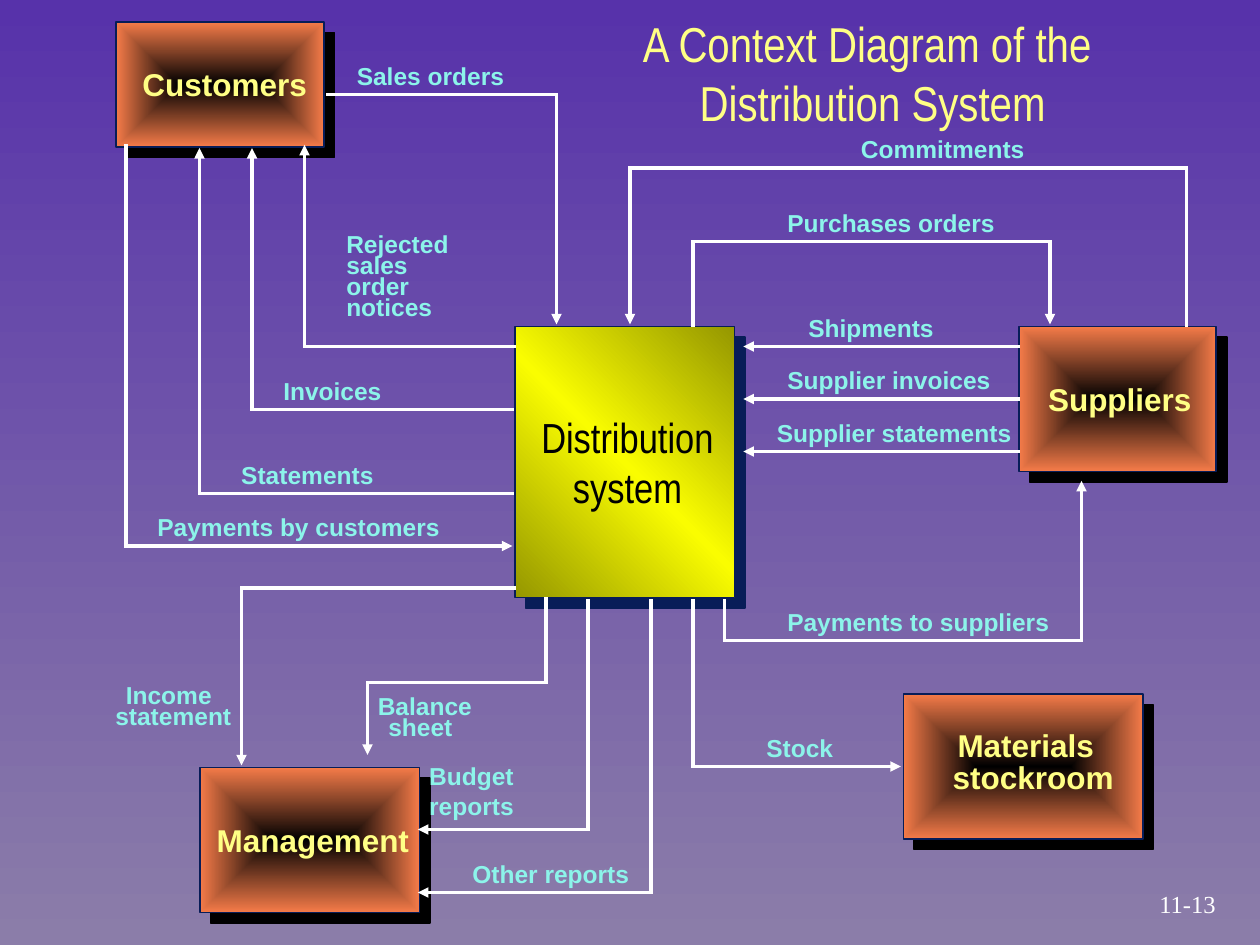
from itertools import pairwise

from lxml import etree
from pptx import Presentation
from pptx.dml.color import RGBColor
from pptx.enum.shapes import MSO_CONNECTOR, MSO_SHAPE
from pptx.enum.text import MSO_ANCHOR, MSO_AUTO_SIZE, PP_ALIGN
from pptx.oxml.ns import qn
from pptx.util import Inches, Pt

RECTANGLE = MSO_SHAPE.RECTANGLE
STRAIGHT = MSO_CONNECTOR.STRAIGHT
LEFT, CENTER = PP_ALIGN.LEFT, PP_ALIGN.CENTER
TOP, MIDDLE = MSO_ANCHOR.TOP, MSO_ANCHOR.MIDDLE
GROW = MSO_AUTO_SIZE.SHAPE_TO_FIT_TEXT

WHITE = RGBColor(0xFF, 0xFF, 0xFF)
BLACK = RGBColor(0, 0, 0)
NAVY = RGBColor(0x08, 0x1D, 0x58)
ORANGE = RGBColor(0xF5, 0x7B, 0x49)
YELLOW = RGBColor(0xFA, 0xFD, 0x00)
OLIVE = RGBColor(0x95, 0x97, 0x00)
CREAM = RGBColor(0xFF, 0xFF, 0x85)
AQUA = RGBColor(0x8C, 0xF4, 0xEA)
VIOLET = RGBColor(0x57, 0x32, 0xAA)
MAUVE = RGBColor(0x8B, 0x7D, 0xA9)

# All places below are in grid cells, twelve to the inch
CELL = Inches(1) / 12
LABEL_SHIFT = 0.2  # labels sit a little left of and below their cell
SLACK = 0.4        # spare width that keeps a text on one line

# Outside parties and the system: left, top, width, height
ENTITIES = [
    (11.05, 2.1, 19.8, 11.9),   # customers
    (19.05, 73.1, 20.9, 13.8),  # management
    (86.05, 66.1, 22.8, 13.8),  # materials stockroom
    (97.05, 31.1, 18.8, 13.8),  # suppliers
]
SYSTEM = (49.05, 31.1, 20.9, 25.8)

# Names: text, left, top, width
ENTITY_NAMES = [
    ("Customers", 12.4, 5.6, 18),
    ("Management", 19.4, 77.6, 20.8),
    ("Suppliers", 98.6, 35.6, 16.1),
    ("Materials", 90, 68.6, 15.4),
    ("stockroom", 89.5, 71.6, 17.8),
]

# Flows: corner points, with the arrowhead at the last one
FLOWS = [
    [(31.2, 9), (53, 9), (53, 30.9)],               # sales orders
    [(49, 33), (29, 33), (29, 13.8)],               # rejected orders
    [(48.8, 39), (24, 39), (24, 14.1)],             # invoices
    [(48.8, 47), (19, 47), (19, 14.1)],             # statements
    [(12, 13.9), (12, 52), (48.8, 52)],             # customer payments
    [(49, 56), (23, 56), (23, 72.9)],               # income statement
    [(52, 57), (52, 65), (35, 65), (35, 71.9)],     # balance sheet
    [(56, 57.2), (56, 79), (39.8, 79)],             # budget reports
    [(62, 57.2), (62, 85), (39.8, 85)],             # other reports
    [(66, 57.2), (66, 73), (85.8, 73)],             # stock
    [(69, 57.2), (69, 61), (103, 61), (103, 45.8)],  # supplier payments
    [(113, 31), (113, 16), (60, 16), (60, 30.9)],   # commitments
    [(66, 31), (66, 23), (100, 23), (100, 30.9)],   # purchase orders
    [(97, 33), (70.8, 33)],                         # shipments
    [(97, 38), (70.8, 38)],                         # supplier invoices
    [(97, 43), (70.8, 43)],                         # supplier statements
]

# Flow labels: text, column, row, width
FLOW_LABELS = [
    ("Sales orders", 33, 5, 16.4),
    ("Rejected", 32, 21, 12.1),
    ("sales", 32, 23, 8.3),
    ("order", 32, 25, 8.4),
    ("notices", 32, 27, 10.6),
    ("Invoices", 26, 35, 11.8),
    ("Statements", 22, 43, 15),
    ("Payments by customers", 14, 48, 29.3),
    ("Commitments", 81, 12, 18),
    ("Purchases orders", 74, 19, 22.2),
    ("Shipments", 76, 29, 14.4),
    ("Supplier invoices", 74, 34, 21.7),
    ("Supplier statements", 73, 39, 24.7),
    ("Payments to suppliers", 74, 57, 27.4),
    ("Stock", 72, 69, 8.8),
    ("Other reports", 44, 81, 17.3),
    ("Balance", 35, 65, 11.4),
    ("sheet", 36, 67, 8.5),
    ("Income", 11, 64, 11.3),
    ("statement", 10, 66, 13.4),
]


def cells(*lengths):
    return [round(length * CELL) for length in lengths]


def add_xml(parent, tag, **attributes):
    return etree.SubElement(parent, qn(tag), attributes)


def set_gradient(owner, fill, stops, angle=None):
    """Fill with (percent, colour) stops; without an angle, from the centre out."""
    fill.solid()
    solid = owner.xpath(".//a:solidFill")[0]
    gradient = etree.Element(qn("a:gradFill"), rotWithShape="1")
    stop_list = add_xml(gradient, "a:gsLst")
    for percent, color in stops:
        stop = add_xml(stop_list, "a:gs", pos=str(percent * 1000))
        add_xml(stop, "a:srgbClr", val=str(color))
    if angle is None:
        path = add_xml(gradient, "a:path", path="rect")
        add_xml(path, "a:fillToRect", l="50000", t="50000", r="50000", b="50000")
    else:
        add_xml(gradient, "a:lin", ang=str(angle * 60000), scaled="0")
    solid.getparent().replace(solid, gradient)


def add_box(place, stops, shadow_color, angle=None):
    box = slide.shapes.add_shape(RECTANGLE, *cells(*place))
    set_gradient(box.element, box.fill, stops, angle)
    box.line.color.rgb = NAVY
    box.line.width = Pt(1)
    box.shadow.inherit = False
    effects = box.element.spPr.find(qn("a:effectLst"))
    shadow = add_xml(effects, "a:outerShdw", dist=str(Pt(8.5)), dir="2700000",
                     algn="ctr", rotWithShape="0")
    add_xml(shadow, "a:srgbClr", val=str(shadow_color))


def add_flow(points):
    for start, end in pairwise(points):
        segment = slide.shapes.add_connector(STRAIGHT, *cells(*start, *end))
        segment.line.color.rgb = WHITE
        segment.line.width = Pt(2)
        outline = segment.element.spPr.find(qn("a:ln"))
        outline.set("cap", "sq")
        if end == points[-1]:
            add_xml(outline, "a:tailEnd", type="triangle")
        add_xml(segment.element.spPr, "a:effectLst")


def add_text(lines, place, size, color, font="Arial", bold=False,
             align=CENTER, anchor=TOP, wrap=False):
    left, top, width, height = place
    if align == CENTER:
        left -= SLACK / 2
    place = cells(left, top, width + SLACK, height)
    frame = slide.shapes.add_textbox(*place).text_frame
    frame.word_wrap = wrap
    frame.auto_size = GROW
    frame.vertical_anchor = anchor
    for index, line in enumerate(lines):
        paragraph = frame.add_paragraph() if index else frame.paragraphs[0]
        paragraph.alignment = align
        run = paragraph.add_run()
        run.text = line
        run.font.name = font
        run.font.size = Pt(size)
        run.font.bold = bold
        run.font.color.rgb = color


deck = Presentation()
deck.slide_width, deck.slide_height = Inches(10), Inches(7.5)
slide = deck.slides.add_slide(deck.slide_layouts[6])
set_gradient(slide.element, slide.background.fill, [(0, VIOLET), (100, MAUVE)], 90)

# Boxes
for place in ENTITIES:
    add_box(place, [(0, BLACK), (100, ORANGE)], BLACK)
add_box(SYSTEM, [(0, OLIVE), (50, YELLOW), (100, OLIVE)], NAVY, 135)

# Arrows between the boxes
for points in FLOWS:
    add_flow(points)

# Box names
for name, left, top, width in ENTITY_NAMES:
    add_text([name], (left, top, width, 4.8), 18, CREAM, bold=True)
add_text(["Distribution", "system"], (47.4, 38.6, 24.7, 10.8), 24, BLACK, "Arial Narrow")

# Flow labels
for label, column, row, width in FLOW_LABELS:
    place = (column - LABEL_SHIFT, row + LABEL_SHIFT, width, 4)
    add_text([label], place, 14, AQUA, bold=True, align=LEFT)
add_text(["Budget", "reports"], (39.7, 71.9, 19.3, 6.7), 14, AQUA,
         bold=True, align=LEFT, wrap=True)

# Title and page number
add_text(["A Context Diagram of the ", "Distribution System"],
         (53.5, 0.7, 59.2, 12.4), 28, CREAM, "Arial Narrow")
add_text(["11-13"], (105.5, 84, 15.2, 4.1), 14, WHITE, "Times New Roman", anchor=MIDDLE)

deck.save("out.pptx")
